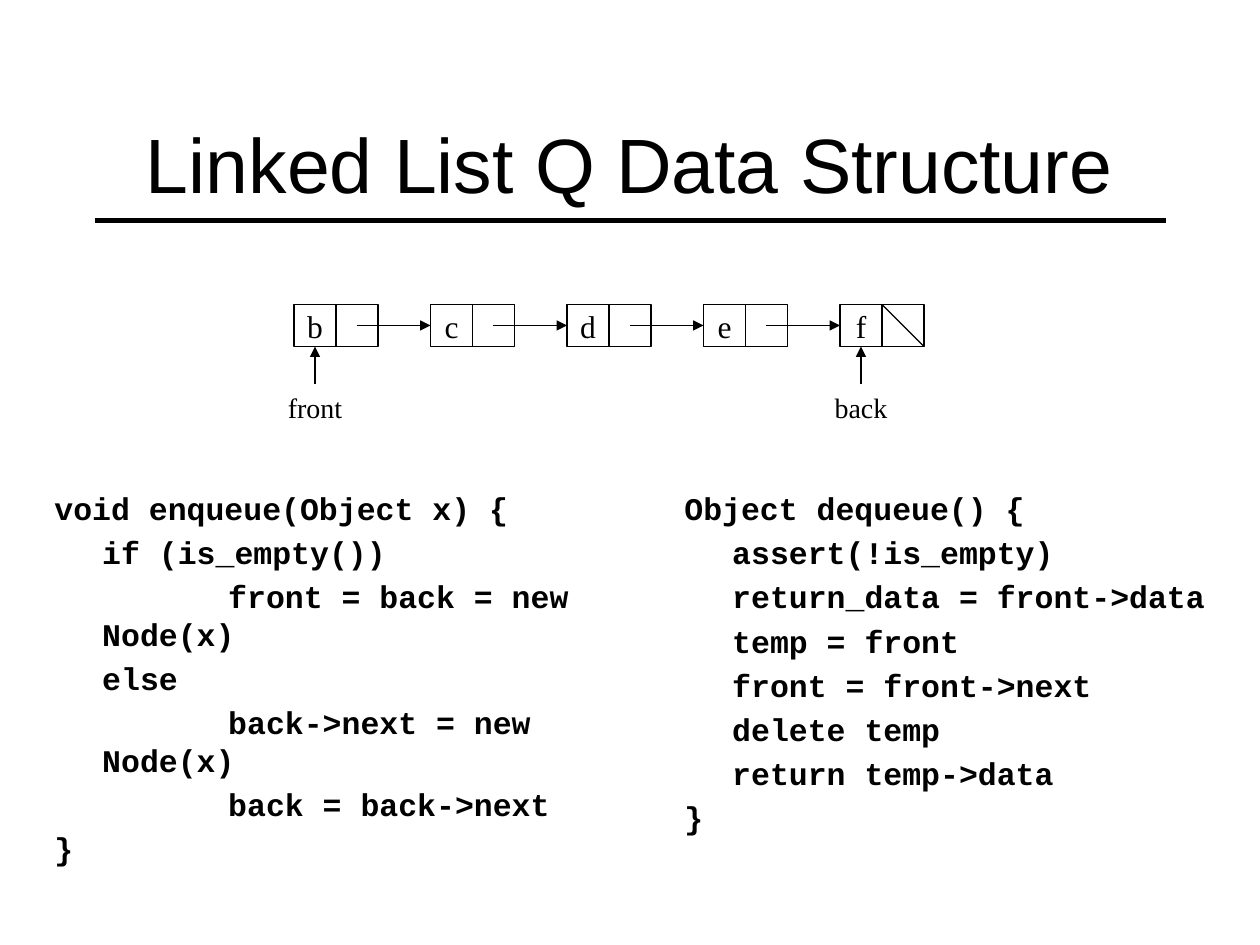
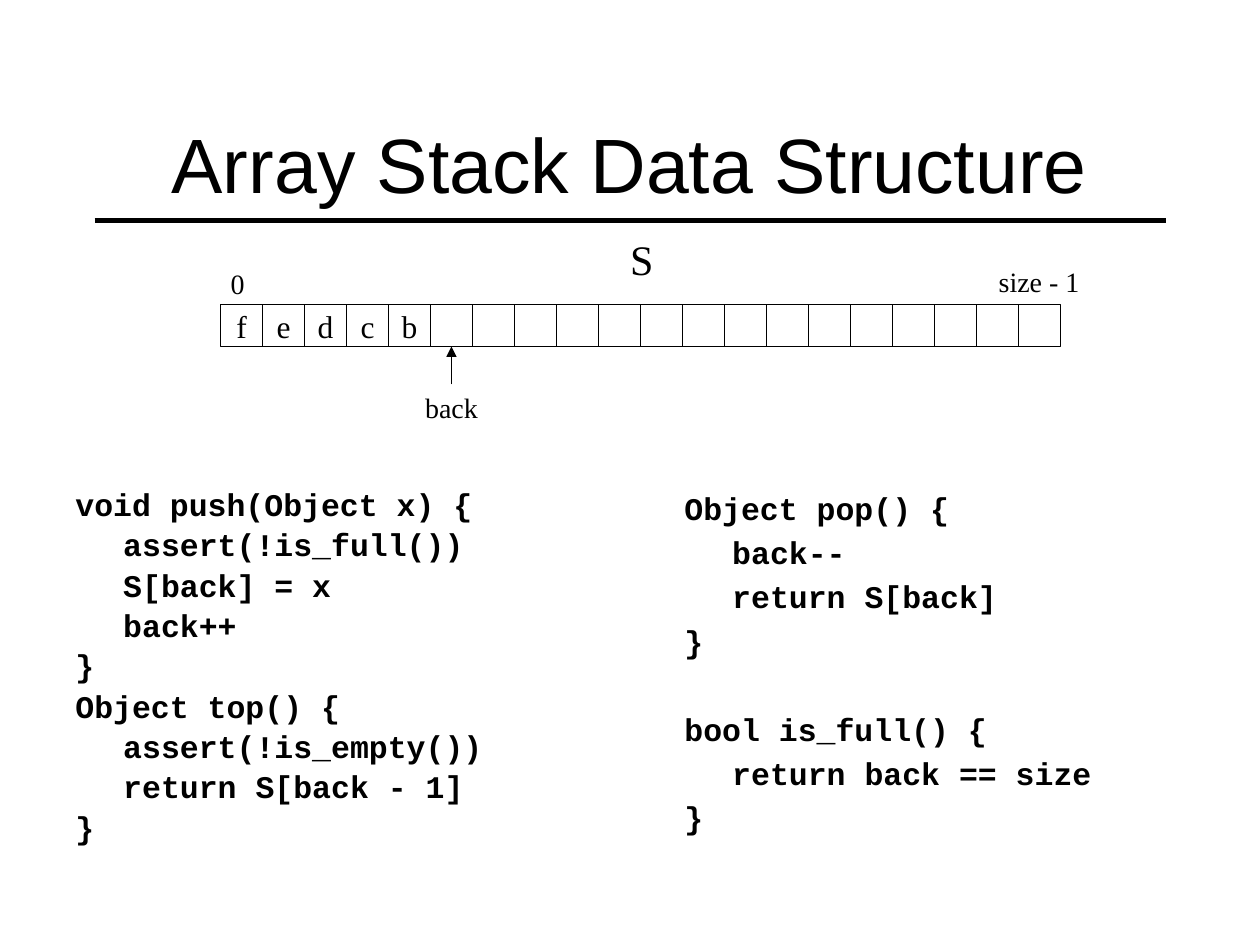
from dataclasses import dataclass

from lxml import etree
from pptx import Presentation
from pptx.dml.color import RGBColor
from pptx.enum.shapes import MSO_CONNECTOR, MSO_SHAPE
from pptx.enum.text import MSO_ANCHOR, PP_ALIGN
from pptx.oxml.ns import qn
from pptx.util import Emu, Inches, Pt

RECTANGLE = MSO_SHAPE.RECTANGLE
STRAIGHT = MSO_CONNECTOR.STRAIGHT
CENTER, LEFT = PP_ALIGN.CENTER, PP_ALIGN.LEFT
MIDDLE, TOP = MSO_ANCHOR.MIDDLE, MSO_ANCHOR.TOP
TOP_SIDE, LEFT_SIDE, BOTTOM_SIDE = 0, 1, 2

# Shared look
INK = "000000"
TITLE_FONT, LABEL_FONT, CODE_FONT = "Arial", "Times New Roman", "Courier New"
THIN, THICK = 0.75, 3

# Grid of 30 square columns; one diagram cell fills one column and one row
SLIDE_WIDTH, SLIDE_HEIGHT = Inches(10), Inches(7.5)
UNIT = SLIDE_WIDTH / 30
CELL_ROW = 7.25
POINTER_ROW = 9.15
CODE_ROW, CODE_ROWS = 11.5, 8.5
NODE_STEP = 3.25
ARRAY_SIZE = 20

# Code paragraphs: wrapped lines start at the margin, first lines by depth
CODE_MARGIN = Inches(0.38)
FIRST_LINE_INDENTS = (-CODE_MARGIN, 0, Inches(1))
LINE_GAP, BLOCK_GAP = 3.6, 28.9


@dataclass
class Box:
    column: float
    row: float
    columns: float
    rows: float


@dataclass
class Label:
    text: str
    center: float
    row: float
    size: float = 16
    columns: float = 2


@dataclass
class Code:
    column: float
    columns: float
    text: str
    line_spacing: float = 1.0


ENQUEUE = Code(1, 15.25, """void enqueue(Object x) {
\tif (is_empty())
\t\tfront = back = new Node(x)
\telse
\t\tback->next = new Node(x)
\t\tback = back->next
}""")
DEQUEUE = Code(16, 13.75, """Object dequeue() {
\tassert(!is_empty)
\treturn_data = front->data
\ttemp = front
\tfront = front->next
\tdelete temp
\treturn temp->data
}""")
PUSH_TOP = Code(1.5, 14.75, """void push(Object x) {
\tassert(!is_full())
\tS[back] = x
\tback++
}
Object top() {
\tassert(!is_empty())
\treturn S[back - 1]
}""", line_spacing=0.9)
POP_FULL = Code(16, 13.75, """Object pop() {
\tback--
\treturn S[back]
}

bool is_full() {
\treturn back == size
}""")
ARRAY_LABELS = [Label("S", 15.28, 5.4, size=24), Label("0", 5.66, 6.2),
                Label("size - 1", 24.74, 6.15, columns=3)]


def grid(units: float) -> Emu:
    return Emu(round(units * UNIT))


def color(hex_value: str) -> RGBColor:
    return RGBColor.from_string(hex_value)


def place(box: Box) -> tuple:
    return grid(box.column), grid(box.row), grid(box.columns), grid(box.rows)


def write_text(shape, text: str, *, font: str, size: float, bold: bool = False,
               align=CENTER, anchor=MIDDLE, wrap: bool = False, gap: float = 0,
               block_gap: float = 0, line_spacing: float = 1.0, margin: int = 0) -> None:
    """One paragraph per line; an empty line starts a new block, leading tabs set depth."""
    frame = shape.text_frame
    frame.word_wrap = wrap
    frame.vertical_anchor = anchor
    paragraph = frame.paragraphs[0]
    for block_index, block in enumerate(text.split("\n\n")):
        for line_index, line in enumerate(block.split("\n")):
            if block_index or line_index:
                paragraph = frame.add_paragraph()
            starts_block = block_index > 0 and line_index == 0
            paragraph.space_before = Pt(block_gap if starts_block else gap)
            paragraph.line_spacing = line_spacing
            paragraph.alignment = align
            content = line.lstrip("\t")
            if margin:
                depth = len(line) - len(content)
                properties = paragraph._p.get_or_add_pPr()
                properties.set("marL", str(margin))
                properties.set("indent", str(FIRST_LINE_INDENTS[depth]))
            run = paragraph.add_run()
            run.text = content
            run.font.name, run.font.size, run.font.bold = font, Pt(size), bold
            run.font.color.rgb = color(INK)


def add_text(slide, box: Box, text: str, **text_format):
    shape = slide.shapes.add_textbox(*place(box))
    write_text(shape, text, **text_format)
    return shape


def add_line(slide, start: tuple, end: tuple, width: float = THIN, arrow: bool = False):
    line = slide.shapes.add_connector(STRAIGHT, *map(grid, start + end))
    line.line.color.rgb = color(INK)
    line.line.width = Pt(width)
    if arrow:
        etree.SubElement(line.line._get_or_add_ln(), qn("a:tailEnd"), type="triangle")
    etree.SubElement(line._element.spPr, qn("a:effectLst"))
    return line


def add_cell(slide, column: float, text: str = ""):
    cell = slide.shapes.add_shape(RECTANGLE, *place(Box(column, CELL_ROW, 1, 1)))
    cell.shadow.inherit = False
    cell.fill.background()
    cell.line.color.rgb = color(INK)
    cell.line.width = Pt(THIN)
    if text:
        write_text(cell, text, font=LABEL_FONT, size=18)
    return cell


def add_label(slide, label: Label):
    box = Box(label.center - label.columns / 2, label.row, label.columns, label.size / 16 * 1.1)
    return add_text(slide, box, label.text, font=LABEL_FONT, size=label.size, anchor=TOP)


def add_pointer(slide, text: str, cell, column: float) -> None:
    """A name below a cell, with an arrow up to the cell."""
    center = column + 0.5
    label = add_label(slide, Label(text, center, POINTER_ROW))
    arrow = add_line(slide, (center, POINTER_ROW), (center, CELL_ROW + 1), arrow=True)
    arrow.begin_connect(label, TOP_SIDE)
    arrow.end_connect(cell, BOTTOM_SIDE)


def add_code(slide, code: Code) -> None:
    add_text(slide, Box(code.column, CODE_ROW, code.columns, CODE_ROWS), code.text,
             font=CODE_FONT, size=18, bold=True, align=LEFT, anchor=TOP, wrap=True,
             gap=LINE_GAP, block_gap=BLOCK_GAP, line_spacing=code.line_spacing,
             margin=CODE_MARGIN)


def add_base_slide(presentation, title: str, codes: list[Code]):
    slide = presentation.slides.add_slide(presentation.slide_layouts[6])
    add_line(slide, (2.25, 5.25), (27.75, 5.25), THICK)
    add_text(slide, Box(2.25, 2, 25.5, 3.75), title, font=TITLE_FONT, size=44, wrap=True)
    for code in codes:
        add_code(slide, code)
    return slide


def build_linked_list(presentation) -> None:
    slide = add_base_slide(presentation, "Linked List Q Data Structure", [ENQUEUE, DEQUEUE])
    middle = CELL_ROW + 0.5
    columns = [7 + NODE_STEP * index for index in range(5)]
    data_cells = []
    for column, value in zip(columns, "bcdef"):
        data_cells.append(add_cell(slide, column, value))
        add_cell(slide, column + 1)
    # Links between nodes, and the null mark in the last one
    for column, next_column, next_cell in zip(columns, columns[1:], data_cells[1:]):
        link = add_line(slide, (column + 1.5, middle), (next_column, middle), arrow=True)
        link.end_connect(next_cell, LEFT_SIDE)
    add_line(slide, (columns[-1] + 1, CELL_ROW), (columns[-1] + 2, CELL_ROW + 1))
    add_pointer(slide, "front", data_cells[0], columns[0])
    add_pointer(slide, "back", data_cells[-1], columns[-1])


def build_array_stack(presentation) -> None:
    slide = add_base_slide(presentation, "Array Stack Data Structure", [PUSH_TOP, POP_FULL])
    values = "fedcb"
    columns = [5.25 + index for index in range(ARRAY_SIZE)]
    cells = [add_cell(slide, column, values[index:index + 1])
             for index, column in enumerate(columns)]
    for label in ARRAY_LABELS:
        add_label(slide, label)
    back = len(values)
    add_pointer(slide, "back", cells[back], columns[back])


def main() -> None:
    presentation = Presentation()
    presentation.slide_width, presentation.slide_height = SLIDE_WIDTH, SLIDE_HEIGHT
    build_linked_list(presentation)
    build_array_stack(presentation)
    presentation.save("out.pptx")


if __name__ == "__main__":
    main()
